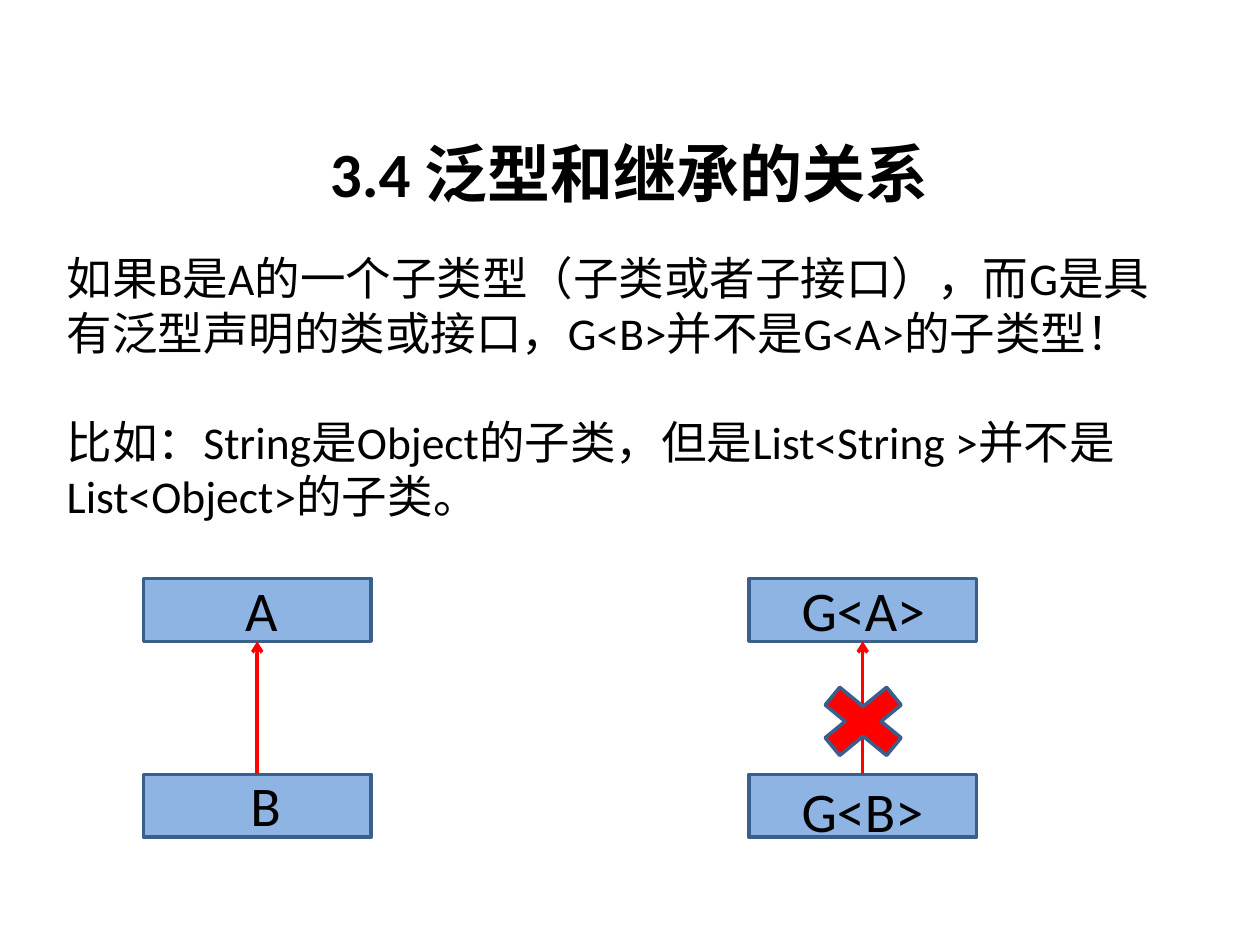
from pptx import Presentation
from pptx.dml.color import RGBColor
from pptx.enum.shapes import MSO_CONNECTOR as Line, MSO_SHAPE as Kind
from pptx.enum.text import MSO_AUTO_SIZE as Fit
from pptx.oxml.ns import qn
from pptx.util import Pt
from lxml.etree import SubElement as Sub

TITLE = "3.4 泛型和继承的关系"
BODY = [
    "如果B是A的一个子类型（子类或者子接口），而G是具有泛型声明的类或接口，G<B>并不是G<A>的子类型！",
    "比如：String是Object的子类，但是List<String >并不是List<Object>的子类。",
]
PAIRS = [
    (82, [("A", 133, 325.5), ("B", 136, 437)], 48),
    (428, [("G<A>", 451, 325.5), ("G<B>", 451, 440)], 96),
]
ROWS = [330.5, 442.5]
WIDE, HIGH = 130, 36
CROSS = (459.5, 384.5, 67.5, 55.5)
BLACK, RED, BLUE, EDGE = "000000", "FF0000", "8EB4E3", "3A5F8C"


def color(code):
    return RGBColor.from_string(code)


def write(area, paras, size, bold=False, gap=0):
    box = slide.shapes.add_textbox(*map(Pt, area))
    frame = box.text_frame
    frame.word_wrap = True
    frame.auto_size = Fit.SHAPE_TO_FIT_TEXT
    for i, text in enumerate(paras):
        para = frame.add_paragraph() if i else frame.paragraphs[0]
        para.space_before = Pt(gap if i else 0)
        run = para.add_run()
        run.text = text
        font = run.font
        font.name, font.size, font.bold = "Calibri", Pt(size), bold
        font.color.rgb = color(BLACK)


def draw(kind, area, fill):
    shape = slide.shapes.add_shape(kind, *map(Pt, area))
    shape.shadow.inherit = False
    shape.fill.solid()
    shape.fill.fore_color.rgb = color(fill)
    shape.line.color.rgb = color(EDGE)
    shape.line.width = Pt(2)
    return shape


def link(low, top):
    arrow = slide.shapes.add_connector(Line.STRAIGHT, 0, 0, 0, 0)
    arrow.begin_connect(low, 0)
    arrow.end_connect(top, 2)
    arrow.line.color.rgb = color(RED)
    arrow.line.width = Pt(2)
    Sub(arrow.line._get_or_add_ln(), qn("a:tailEnd"), type="arrow")
    Sub(arrow._element.spPr, qn("a:effectLst"))


deck = Presentation()
deck.slide_width, deck.slide_height = Pt(720), Pt(540)
slide = deck.slides.add_slide(deck.slide_layouts[6])

write((181.5, 73.5, 391, 51), [TITLE], 36, bold=True)
write((31, 139.5, 657.5, 165), BODY, 26, gap=31)
for left, names, span in PAIRS:
    top, low = [draw(Kind.RECTANGLE, (left, y, WIDE, HIGH), BLUE) for y in ROWS]
    link(low, top)
    for name, x, y in names:
        write((x, y, span, 46), [name], 32)
draw(Kind.MATH_MULTIPLY, CROSS, RED)

deck.save("out.pptx")
